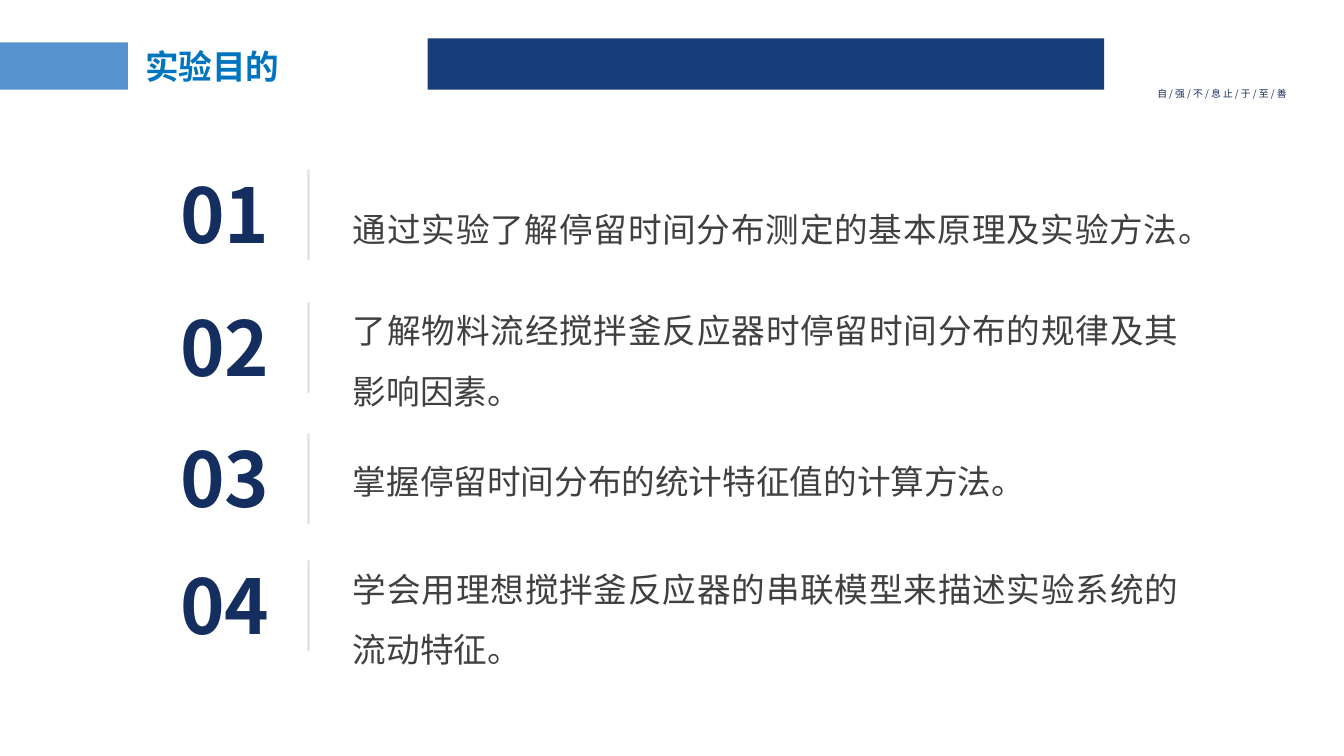
from dataclasses import dataclass

from lxml import etree
from pptx import Presentation
from pptx.dml.color import RGBColor
from pptx.enum.shapes import MSO_CONNECTOR, MSO_SHAPE
from pptx.enum.text import PP_ALIGN
from pptx.oxml.ns import qn
from pptx.util import Inches, Pt

RECT, STRAIGHT = MSO_SHAPE.RECTANGLE, MSO_CONNECTOR.STRAIGHT
LEFT, JUSTIFY = PP_ALIGN.LEFT, PP_ALIGN.JUSTIFY

# Content: top of each row's divider, top and height of its text, wording
TITLE = "实验目的"
MOTTO = "自 / 强 / 不 / 息 止 / 于 / 至 / 善"
GOALS = [
    (1.68, 1.82, 0.64, "通过实验了解停留时间分布测定的基本原理及实验方法。"),
    (3.00, 2.83, 1.24, "了解物料流经搅拌釜反应器时停留时间分布的规律及其影响因素。"),
    (4.30, 4.32, 0.64, "掌握停留时间分布的统计特征值的计算方法。"),
    (5.56, 5.39, 1.24, "学会用理想搅拌釜反应器的串联模型来描述实验系统的流动特征。"),
]


@dataclass(frozen=True)
class Theme:
    font: str = "Noto Sans CJK SC"
    band: str = "173D7A"
    tab: str = "5793CE"
    title: str = "0075BF"
    navy: str = "142E60"
    body: str = "404040"
    rule: str = "A5A5A5"
    rule_opacity: int = 32
    motto_size: int = 7
    text_size: int = 24
    number_size: int = 54


T = Theme()

# Columns and row measures
NUMBER_X, RULE_X, TEXT_X = 1.69, 3.06, 3.5
NUMBER_W, NUMBER_H, NUMBER_RISE = 1.13, 1.01, 0.06
TEXT_W, RULE_H = 8.29, 0.9

prs = Presentation()
prs.slide_width, prs.slide_height = Inches(13.33), Inches(7.5)
s = prs.slides.add_slide(prs.slide_layouts[6])


def add_bar(x, y, w, h, color):
    sp = s.shapes.add_shape(RECT, Inches(x), Inches(y), Inches(w), Inches(h))
    sp.shadow.inherit = False
    sp.fill.solid()
    sp.fill.fore_color.rgb = RGBColor.from_string(color)
    sp.line.fill.background()


def add_text(box, text, size, color, bold=False, align=LEFT, spacing=None,
             wrap=True, left=0.1, right=0.1):
    tf = s.shapes.add_textbox(*map(Inches, box)).text_frame
    tf.word_wrap = wrap
    tf.margin_left, tf.margin_right = Inches(left), Inches(right)
    p = tf.paragraphs[0]
    p.alignment, p.line_spacing = align, spacing
    r = p.add_run()
    r.text = text
    r.font.size, r.font.bold, r.font.name = Pt(size), bold, T.font
    r.font.color.rgb = RGBColor.from_string(color)
    # East Asian typeface
    etree.SubElement(r.font._element, qn("a:ea"), typeface=T.font)


def add_rule(x, y, h):
    c = s.shapes.add_connector(STRAIGHT, Inches(x), Inches(y), Inches(x), Inches(y + h))
    c.line.width = Pt(1.5)
    c.line.color.rgb = RGBColor.from_string(T.rule)
    spPr = c._element.spPr
    color = spPr.find(".//" + qn("a:srgbClr"))
    etree.SubElement(color, qn("a:alpha"), val=str(T.rule_opacity * 1000))
    etree.SubElement(spPr, qn("a:effectLst"))


# Header
add_bar(4.24, 0.38, 6.71, 0.51, T.band)
add_bar(0, 0.42, 1.27, 0.47, T.tab)
add_text((11.38, 0.82, 1.73, 0.22), MOTTO, T.motto_size, T.navy, right=0.15)
add_text((1.34, 0.45, 2.89, 0.47), TITLE, T.text_size, T.title, bold=True, spacing=0.9)

# Numbered goals
for number, (rule_y, text_y, text_h, goal) in enumerate(GOALS, 1):
    add_text((NUMBER_X, rule_y - NUMBER_RISE, NUMBER_W, NUMBER_H), f"{number:02}",
             T.number_size, T.navy, bold=True, wrap=False)
    add_rule(RULE_X, rule_y, RULE_H)
    add_text((TEXT_X, text_y, TEXT_W, text_h), goal, T.text_size, T.body,
             align=JUSTIFY, spacing=1.5, left=0)

prs.save("out.pptx")
